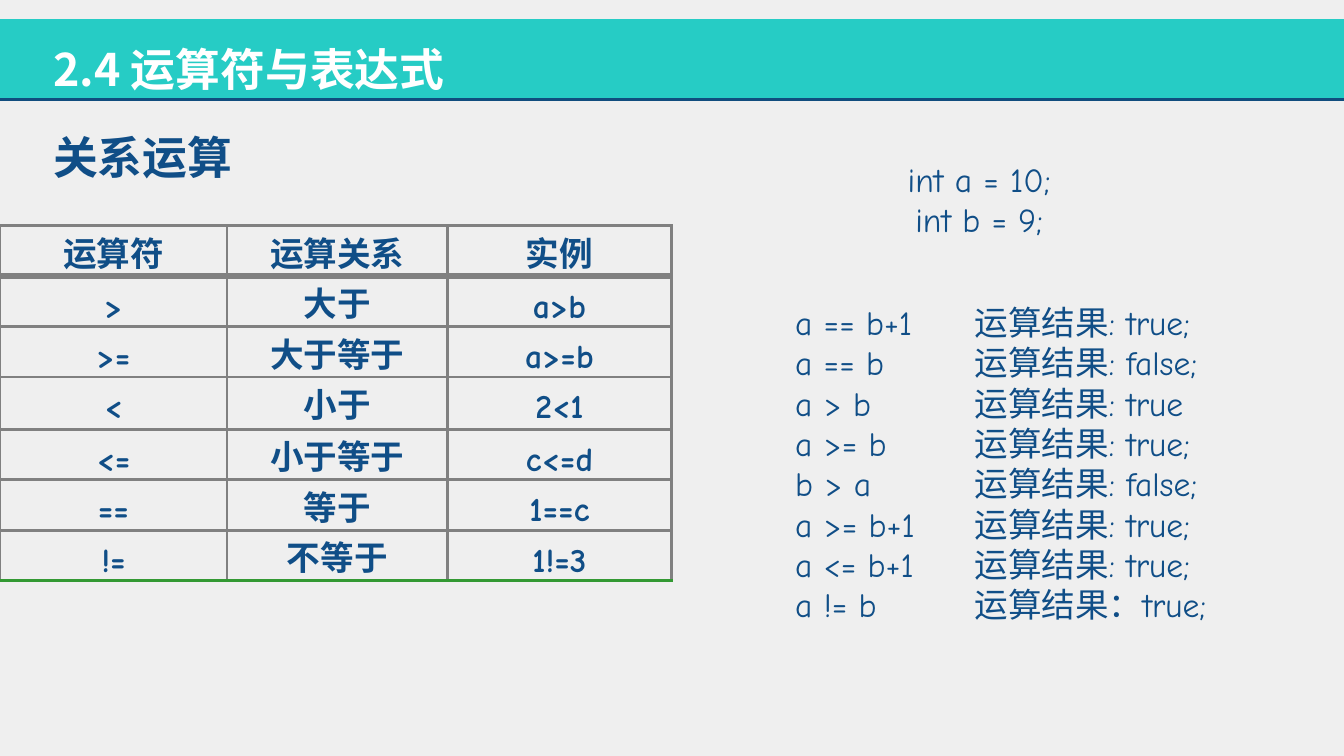
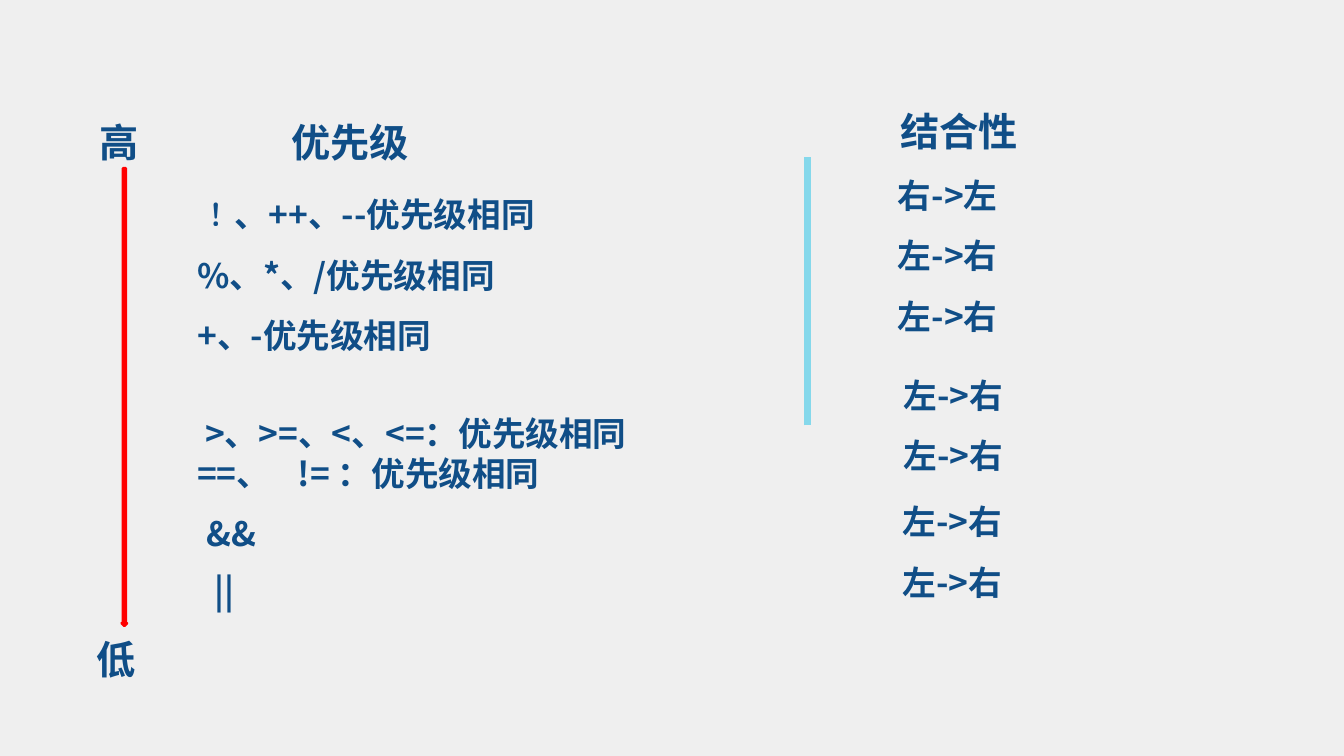
"""Build two slides on relational operators and operator precedence."""
import pptx
import pptx.dml.color
import pptx.enum.shapes
import pptx.enum.text
import pptx.oxml
import pptx.oxml.ns
import pptx.util
from lxml import etree

Cm, Pt = pptx.util.Cm, pptx.util.Pt
qn = pptx.oxml.ns.qn
ALIGN = pptx.enum.text.PP_ALIGN
ANCHOR = pptx.enum.text.MSO_ANCHOR
SHAPE = pptx.enum.shapes.MSO_SHAPE

WIDTH, HEIGHT = 33.87, 19.05
PAPER, TEAL, NAVY, INK, WHITE = "EFEFEF", "26CCC5", "104D7E", "104E87", "FFFFFF"
GREY, GREEN, RED, BLUE, SKY = "808080", "339933", "FF0000", "3B9AE6", "85D8EB"
SANS, SANS_JP, COMIC, ROUND = "Noto Sans CJK SC", "Noto Sans CJK JP", "Comic Neue", "Quicksand"
LINE_HEIGHT = 1.2

OPERATORS = [
    ("运算符", "运算关系", "实例"),
    (">", "大于", "a>b"),
    (">=", "大于等于", "a>=b"),
    ("<", "小于", "2<1"),
    ("<=", "小于等于", "c<=d"),
    ("==", "等于", "1==c"),
    ("!=", "不等于", "1!=3"),
]
COLUMN_WIDTHS = (5.72, 5.56, 5.64)
ROW_HEIGHTS = (1.27, 1.27, 1.27, 1.32, 1.27, 1.27, 1.27)
DECLARATIONS = ["int a = 10;", "int b = 9;"]
EVALUATIONS = [
    ("a == b+1", "运算结果: true;"),
    ("a == b", "运算结果: false;"),
    ("a > b", "运算结果: true"),
    ("a >= b", "运算结果: true;"),
    ("b > a", "运算结果: false;"),
    ("a >= b+1", "运算结果: true;"),
    ("a <= b+1", "运算结果: true;"),
    ("a != b", "运算结果：true;"),
]
ARITHMETIC = ["、++、--优先级相同", "%、*、/优先级相同", "+、-优先级相同"]
RELATIONAL = [">、>=、<、<=：优先级相同", "==、\t!= ：优先级相同"]
RIGHT_LEFT, LEFT_RIGHT = "右->左", "左->右"
HEADINGS = [
    ("高", (2.26, 2.79, 1.55, 1.45)),
    ("低", (2.18, 15.8, 1.7, 1.45)),
    ("结合性", (22.45, 2.51, 5.03, 1.45)),
]
SINGLE_OPERATORS = [
    ("!", (5.08, 4.65, 1.5, 1.27), ROUND),
    ("&&", (4.95, 12.73, 3, 1.27), SANS),
    ("||", (5.16, 14.15, 3, 1.27), SANS),
]
LOWER_ASSOCIATIVITY = [(22.53, 8.81, 4.88, 3.15), (22.5, 11.99, 4.88, 3.15)]


def rgb(value):
    return pptx.dml.color.RGBColor.from_string(value)


def write(paragraph, text, size=24, font=SANS, color=INK, bold=True,
          align=ALIGN.LEFT, spacing=1, indent=0, tab=None):
    """Fill one paragraph with a styled run and no bullet."""
    properties = paragraph._p.get_or_add_pPr()
    properties.set("marL", "0")
    properties.set("indent", str(Cm(indent)))
    etree.SubElement(properties, qn("a:buNone"))
    if tab:
        stops = etree.SubElement(properties, qn("a:tabLst"))
        etree.SubElement(stops, qn("a:tab"), pos=str(Cm(tab)), algn="l")
    paragraph.alignment = align
    paragraph.line_spacing = Pt(round(size * LINE_HEIGHT * spacing, 1))
    paragraph.space_before = paragraph.space_after = Pt(0)
    run = paragraph.add_run()
    run.text = text
    run.font.size, run.font.bold, run.font.name = Pt(size), bold, font
    run.font.color.rgb = rgb(color)
    east_asian = SANS_JP if font == SANS_JP else SANS
    etree.SubElement(run._r.get_or_add_rPr(), qn("a:ea"), typeface=east_asian)


def prepare(holder, box, anchor):
    """Place a text holder and return its frame with shared insets."""
    holder.left, holder.top, holder.width, holder.height = map(Cm, box)
    frame = holder.text_frame
    frame.word_wrap = True
    frame.auto_size = pptx.enum.text.MSO_AUTO_SIZE.NONE
    frame.vertical_anchor = anchor
    frame.margin_left = frame.margin_right = Cm(0.25)
    frame.margin_top, frame.margin_bottom = Cm(0.2), Cm(0.05)
    return frame


def put_text(slide, lines, box, holder=None, anchor=ANCHOR.TOP, line_styles=(), **style):
    """Write lines into a placeholder, or into a new text box."""
    holder = holder or slide.shapes.add_textbox(*map(Cm, box))
    frame = prepare(holder, box, anchor)
    for index, line in enumerate(lines):
        paragraph = frame.add_paragraph() if index else frame.paragraphs[0]
        extra = line_styles[index] if index < len(line_styles) else {}
        write(paragraph, line, **{**style, **extra})


def add_block(slide, preset, box, fill, outline=None):
    block = slide.shapes.add_shape(preset, *map(Cm, box))
    block.shadow.inherit = False
    block.fill.solid()
    block.fill.fore_color.rgb = rgb(fill)
    if outline:
        block.line.color.rgb, block.line.width = rgb(outline), Pt(2)
    else:
        block.line.fill.background()
    return block


def add_rule(slide, start, end, color, width):
    rule = slide.shapes.add_connector(
        pptx.enum.shapes.MSO_CONNECTOR.STRAIGHT, *map(Cm, start + end))
    rule.line.color.rgb, rule.line.width = rgb(color), Pt(width)
    etree.SubElement(rule._element.spPr, qn("a:effectLst"))
    return rule


def set_borders(cell, borders):
    """Draw the left, right, top and bottom borders of a cell."""
    properties = cell._tc.get_or_add_tcPr()
    for index, (side, (color, width)) in enumerate(zip("LRTB", borders)):
        line = etree.Element(qn(f"a:ln{side}"), w=str(Pt(width)))
        fill = etree.SubElement(line, qn("a:solidFill"))
        etree.SubElement(fill, qn("a:srgbClr"), val=color)
        properties.insert(index, line)


def add_operator_table(slide):
    table = slide.shapes.add_table(
        len(OPERATORS), len(COLUMN_WIDTHS), Cm(0), Cm(5.69),
        Cm(sum(COLUMN_WIDTHS)), Cm(sum(ROW_HEIGHTS))).table
    table.first_row = table.horz_banding = False
    for column, width in zip(table.columns, COLUMN_WIDTHS):
        column.width = Cm(width)
    thin, thick, closing = (GREY, 2.25), (GREY, 4.5), (GREEN, 2.25)
    edges = [thin, thick] + [thin] * (len(OPERATORS) - 2) + [closing]
    for r, (height, texts) in enumerate(zip(ROW_HEIGHTS, OPERATORS)):
        table.rows[r].height = Cm(height)
        for c, text in enumerate(texts):
            cell = table.cell(r, c)
            cell.fill.background()
            cell.margin_top, cell.margin_bottom = Cm(0.25), Cm(0)
            set_borders(cell, (thin, thin, edges[r], edges[r + 1]))
            write(cell.text_frame.paragraphs[0], text, font=COMIC, align=ALIGN.CENTER)


def build_relational(slide):
    title, expressions, results = slide.placeholders
    band = add_block(slide, SHAPE.RECTANGLE, (0, 0.48, WIDTH, 2.03), TEAL)
    rule = add_rule(slide, (0, 2.51), (WIDTH, 2.51), NAVY, 2)
    for part in (band, rule):
        title.element.addprevious(part.element)
    put_text(slide, ["2.4 运算符与表达式"], (1.09, 0.86, 16.97, 1.63), title,
             size=32, font=SANS_JP, color=WHITE)
    put_text(slide, ["关系运算"], (1.09, 3.07, 14.43, 1.63), size=32)
    add_operator_table(slide)
    code = dict(anchor=ANCHOR.MIDDLE, font=COMIC, bold=False)
    put_text(slide, DECLARATIONS, (22.48, 3.78, 4.39, 2.31), align=ALIGN.CENTER, **code)
    left_lines, right_lines = zip(*EVALUATIONS)
    put_text(slide, left_lines, (19.79, 7.37, 4.4, 8.46), expressions, **code)
    put_text(slide, right_lines, (24.31, 7.37, 7.5, 8.46), results, **code)


def build_precedence(slide):
    title, precedence, associativity = slide.placeholders
    put_text(slide, ["优先级"], (7.09, 2.77, 5.03, 1.45), title, size=28)
    for text, box in HEADINGS:
        put_text(slide, [text], box, size=28)
    add_block(slide, SHAPE.DOWN_ARROW, (3.07, 4.24, 0.13, 11.53), BLUE, RED)
    add_rule(slide, (20.35, 10.72), (20.35, 3.96), SKY, 4.5)
    loose = dict(anchor=ANCHOR.MIDDLE, spacing=1.5)
    put_text(slide, ARITHMETIC, (4.72, 4.24, 10.59, 4.7), precedence,
             line_styles=[dict(indent=0.95)], **loose)
    put_text(slide, [RIGHT_LEFT, LEFT_RIGHT, LEFT_RIGHT], (22.38, 3.76, 4.88, 4.7),
             associativity, **loose)
    for box in LOWER_ASSOCIATIVITY:
        put_text(slide, [LEFT_RIGHT] * 2, box, **loose)
    put_text(slide, RELATIONAL, (4.72, 9.7, 15.4, 2.82),
             line_styles=[dict(spacing=1.5, indent=0.2), dict(tab=3)])
    for text, box, font in SINGLE_OPERATORS:
        put_text(slide, [text], box, font=font)


def main():
    deck = pptx.Presentation()
    deck.slide_width, deck.slide_height = Cm(WIDTH), Cm(HEIGHT)
    background = deck.slide_master.background.fill
    background.solid()
    background.fore_color.rgb = rgb(PAPER)
    two_content = deck.slide_layouts[3]
    for build in (build_relational, build_precedence):
        build(deck.slides.add_slide(two_content))
    deck.save("out.pptx")


if __name__ == "__main__":
    main()
